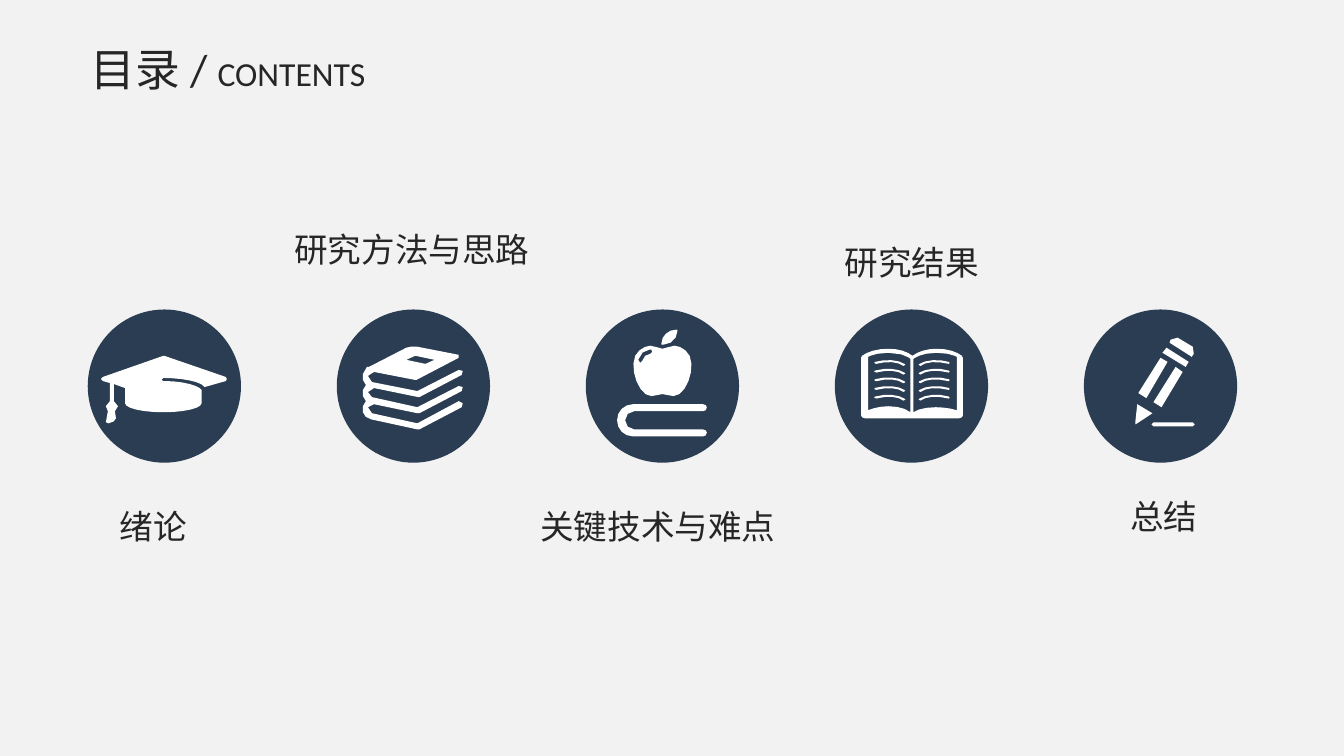
from math import dist

from lxml import etree
from pptx import Presentation
from pptx.dml.color import RGBColor
from pptx.enum.shapes import MSO_SHAPE
from pptx.enum.text import MSO_ANCHOR, MSO_AUTO_SIZE, PP_ALIGN
from pptx.oxml.ns import qn
from pptx.util import Inches, Pt

OVAL = MSO_SHAPE.OVAL
TOP = MSO_ANCHOR.TOP
FIT = MSO_AUTO_SIZE.SHAPE_TO_FIT_TEXT
CENTER = PP_ALIGN.CENTER

COLORS = {"bg": "F2F2F2", "circle": "2A3D52", "icon": "FFFFFF", "text": "262626"}
LATIN, CJK = "Calibri", "Noto Sans CJK SC"

# Circle row, in inches
ROW_LEFT, ROW_TOP, DIAMETER, PITCH = 0.87, 3.07, 1.52, 2.47
# Bezier sampling: length of one chord, most chords in a curve
CHORD, MAX_CHORDS = 7, 6

# Icon outlines in hundredths of an inch from the corner of the circle's box.
# "x,y" is a straight step, "x,y;x,y;x,y" a Bezier step.
CAP = [[
    "15,67 75,46 76,46 137,67 138,69 137,71 116,77 112,71;92,68;75,68 73,70 75,71 "
    "96,71;111,76;113,80 113,93 113,98;96,102;75,102 54,102;37,98;37,93 37,78 26,74 "
    "26,91 29,92;30,94;30,96 30,99;29,100;27,101 28,108 29,111;18,115;18,112 20,101 "
    "19,100;18,98;18,96 18,94;20,92;22,91 22,73 15,71 13,69"]]

BOOKS = [[
    "80,103 82,103 124,81 125,77 121,76 80,97 35,87 32,87;31,84;31,82 "
    "32,79;34,77;37,78 81,87 82,87 124,65 125,61 121,60 80,81 35,72 "
    "32,71;31,68;31,66 32,63;34,61;37,62 78,70 79,70 121,48 124,47;124,45;121,45 "
    "80,37 77,36;72,37;69,38 32,57 30,57 28,59;26,61;26,64 25,68;26,72;29,75 "
    "27,76;26,78;26,80 25,84;26,88;29,91 27,92;26,94;26,96 24,102;28,108;34,109 "
    "80,119 82,119 124,97 125,93 121,91 80,113 35,103 32,103;31,100;31,97 "
    "32,95;34,93;37,94",
    "78,46 97,50 88,54 69,50"]]

APPLE = [[
    "120,122 119,125 116,126 47,126 38,126;31,119;31,110 31,101;38,94;47,94 116,94 "
    "119,95 120,97 119,100 116,101 48,101 43,101;39,105;39,110 39,115;43,119;48,119 "
    "116,119 119,120",
    "75,35 77,35 85,35;91,28;91,21 90,20 82,20;75,26;75,34",
    "103,46 100,40;93,36;88,36 82,36;81,39;76,39 71,39;70,36;64,36 "
    "59,36;52,40;49,46 43,60;53,86;65,86 70,86;72,84;76,84 80,84;82,86;87,86 "
    "99,86;109,60;103,46",
    "64,44 61,44;56,47;56,51 54,53 52,50 53,44;59,40;63,40 65,40 66,42"]]

OPEN_BOOK = [[
    "126,46 121,42;112,39;101,39 91,39;82,42;77,46 72,42;64,39;53,39 "
    "42,39;32,42;27,46 26,48 26,105 27,107 30,108 123,108 126,107 127,105 127,48",
    "75,49 75,102 70,98;62,96;53,96 45,96;38,98;33,100 33,47 33,47;40,43;53,43 "
    "69,43;75,49;75,49",
    "121,47 121,100 115,98;107,97;100,97 90,97;82,99;78,102 78,49 78,49;85,43;101,43 "
    "114,43;121,47;121,47"]]
TEXT_LINES = ["68,56 63,52;52,51;41,54 39,53 40,52 51,49;63,50;69,54 70,55",
              "85,56 83,55 84,54 90,50;103,49;113,52 114,53 113,54 101,51;90,52;85,56"]
TEXT_LINE_COUNT, TEXT_LINE_GAP = 5, 8.6

PENCIL = [[
    "86,30 88,28;91,27;93,28 108,37 110,39;111,42;109,44 107,47 85,33",
    "82,38 78,43 101,57 104,52",
    "51,112 53,94 68,103 53,113 51,114",
    "54,83 76,48 83,52 62,88",
    "69,92 91,57 98,62 77,97",
    "69,112 108,112 110,114 108,116 69,116 67,114"]]

# Icon, label, label offset from the circle's box, label width
SECTIONS = [
    (CAP, "绪论", 0.22, 1.9, 0.88),
    (BOOKS, "研究方法与思路", -0.52, -0.85, 2.53),
    (APPLE, "关键技术与难点", -0.55, 1.9, 2.53),
    (OPEN_BOOK, "研究结果", 0, -0.72, 1.53),
    (PENCIL, "总结", 0.36, 1.8, 0.87),
]


def rgb(name):
    return RGBColor.from_string(COLORS[name])


def add_run(p, text, size, font=LATIN, color="text"):
    r = p.add_run()
    r.text = text
    r.font.size = Pt(size)
    r.font.name = font
    r.font.color.rgb = rgb(color)
    etree.SubElement(r.font._element, qn("a:ea")).set("typeface", CJK)


def paint(sp, color):
    sp.shadow.inherit = False
    sp.fill.solid()
    sp.fill.fore_color.rgb = rgb(color)
    sp.line.fill.background()


def outline_points(outline):
    """Turn an outline string into points, sampling its Bezier steps."""
    points = []
    for step in outline.split():
        nodes = [tuple(map(float, node.split(","))) for node in step.split(";")]
        if len(nodes) == 1:
            points += nodes
            continue
        nodes.insert(0, points[-1])
        length = sum(map(dist, nodes, nodes[1:]))
        count = max(1, min(MAX_CHORDS, round(length / CHORD)))
        for i in range(1, count + 1):
            t = i / count
            u = 1 - t
            points.append(tuple(
                u**3 * a + 3 * u * u * t * b + 3 * u * t * t * c + t**3 * d
                for a, b, c, d in zip(*nodes)))
    return points


def add_outline(shapes, outlines, left, top):
    """Draw outlines as one white freeform; inner ones cut holes."""
    builder = None
    for outline in outlines:
        points = [(Inches(left + x / 100), Inches(top + y / 100))
                  for x, y in outline_points(outline)]
        if builder is None:
            builder = shapes.build_freeform(*points[0], scale=1.0)
        else:
            builder.move_to(*points[0])
        builder.add_line_segments(points[1:], close=True)
    paint(builder.convert_to_shape(), "icon")


def add_title(s, left, top, width, height):
    sp = s.shapes.title
    sp.left, sp.top, sp.width, sp.height = map(Inches, (left, top, width, height))
    tf = sp.text_frame
    tf.word_wrap = True
    tf.auto_size = FIT
    tf.vertical_anchor = TOP
    p = tf.paragraphs[0]
    p.alignment = CENTER
    add_run(p, "目录 / ", 32)
    add_run(p, "CONTENTS", 24)


def add_badge(s, icon, left, top):
    shapes = s.shapes.add_group_shape().shapes
    circle = shapes.add_shape(OVAL, *map(Inches, (left, top, DIAMETER, DIAMETER)))
    paint(circle, "circle")
    for outlines in icon:
        add_outline(shapes, outlines, left, top)
    if icon is OPEN_BOOK:
        for line in TEXT_LINES:
            for i in range(TEXT_LINE_COUNT):
                add_outline(shapes, [line], left, top + i * TEXT_LINE_GAP / 100)


def add_label(s, text, left, top, width, height=0.5):
    tb = s.shapes.add_textbox(*map(Inches, (left, top, width, height)))
    tf = tb.text_frame
    tf.word_wrap = False
    tf.auto_size = FIT
    add_run(tf.paragraphs[0], text, 24, font=CJK)


def main():
    prs = Presentation()
    prs.slide_width, prs.slide_height = Inches(13.33), Inches(7.5)
    s = prs.slides.add_slide(prs.slide_layouts[5])
    s.background.fill.solid()
    s.background.fill.fore_color.rgb = rgb("bg")

    add_title(s, 0.26, 0.36, 4, 0.64)
    for i, (icon, label, dx, dy, width) in enumerate(SECTIONS):
        left = ROW_LEFT + i * PITCH
        add_badge(s, icon, left, ROW_TOP)
        add_label(s, label, left + dx, ROW_TOP + dy, width)
    prs.save("out.pptx")


if __name__ == "__main__":
    main()
